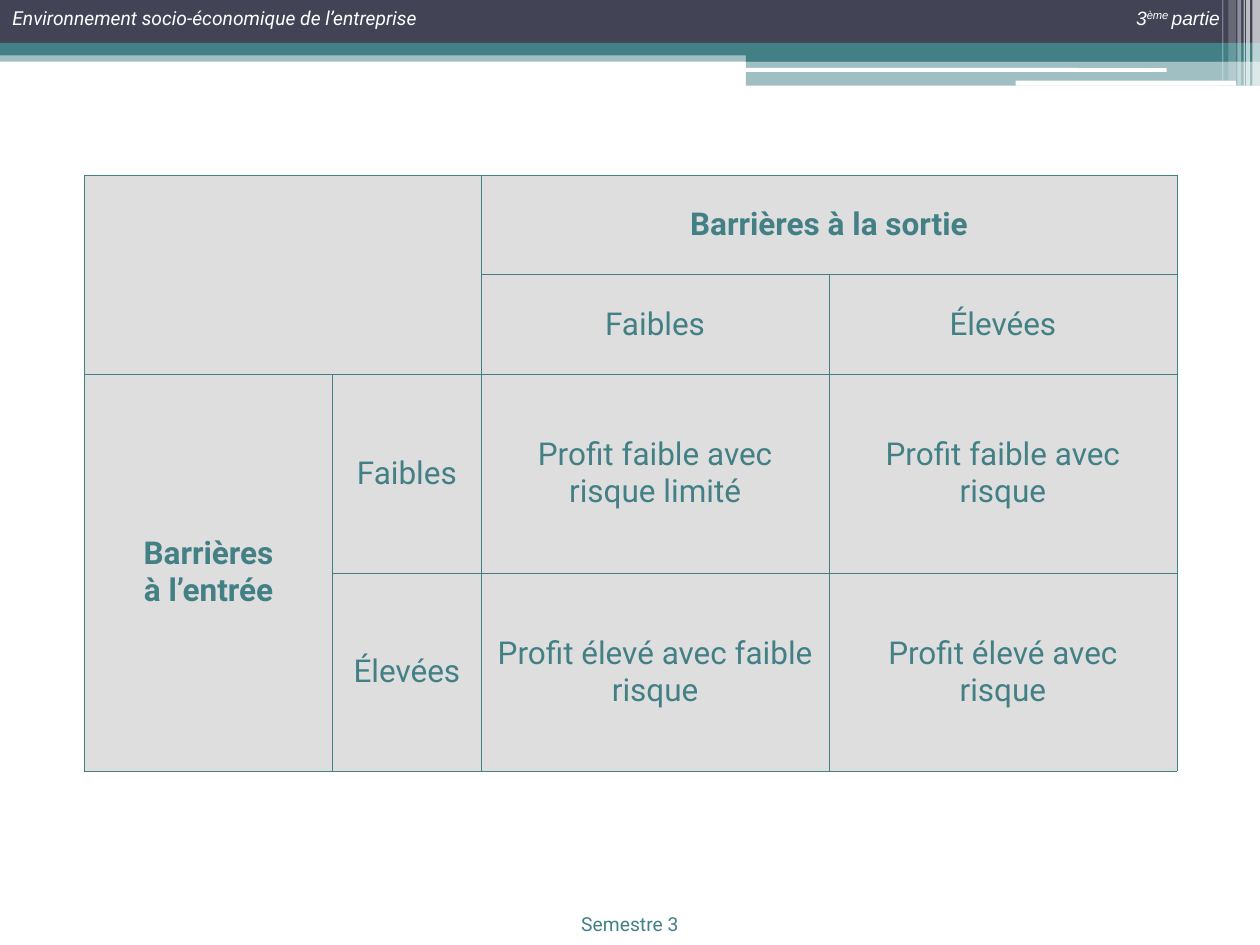
from lxml.etree import SubElement
from pptx import Presentation
from pptx.dml.color import RGBColor
from pptx.enum.shapes import MSO_SHAPE
from pptx.enum.text import MSO_ANCHOR, MSO_AUTO_SIZE, PP_ALIGN
from pptx.oxml.ns import qn
from pptx.util import Inches, Pt

COLORS = {"teal": "438086", "slate": "424456", "white": "FFFFFF", "grey": "DEDEDE"}


def add_bar(slide, kind, box, color, opacity=100):
    shape = slide.shapes.add_shape(kind, *[Inches(value) for value in box])
    shape.shadow.inherit = False
    shape.line.fill.background()
    shape.fill.solid()
    shape.fill.fore_color.rgb = RGBColor.from_string(COLORS[color])
    if opacity < 100:
        color_element = shape.fill._xPr.find(qn("a:solidFill"))[0]
        SubElement(color_element, qn("a:alpha")).set("val", str(opacity * 1000))


def add_run(paragraph, text, size, color, font="Roboto", bold=False, italic=False):
    run = paragraph.add_run()
    run.text = text
    run.font.name = font
    run.font.size = Pt(size)
    run.font.bold = bold
    run.font.italic = italic
    run.font.color.rgb = RGBColor.from_string(COLORS[color])
    return run


presentation = Presentation()
presentation.slide_width = Inches(10)
presentation.slide_height = Inches(7.5)
slide = presentation.slides.add_slide(presentation.slide_layouts[6])

header_bars = [
    (MSO_SHAPE.RECTANGLE, (0, 0.4, 10, 0.09), "teal", 50),
    (MSO_SHAPE.RECTANGLE, (0, 0, 10, 0.34), "slate", 100),
    (MSO_SHAPE.RECTANGLE, (0, 0.34, 10, 0.1), "teal", 100),
    (MSO_SHAPE.RECTANGLE, (5.92, 0.39, 4.08, 0.1), "teal", 100),
    (MSO_SHAPE.RECTANGLE, (5.92, 0.48, 4.08, 0.2), "teal", 50),
    (MSO_SHAPE.ROUNDED_RECTANGLE, (5.91, 0.54, 3.35, 0.03), "white", 100),
    (MSO_SHAPE.ROUNDED_RECTANGLE, (8.06, 0.64, 1.75, 0.04), "white", 100),
]
for kind, box, color, opacity in header_bars:
    add_bar(slide, kind, box, color, opacity)

stripes = [
    (9.94, 0.06, 0.68, 65),
    (9.89, 0.03, 0.68, 65),
    (9.87, 0.01, 0.68, 60),
    (9.82, 0.03, 0.68, 40),
    (9.75, 0.06, 0.64, 20),
    (9.7, 0.01, 0.64, 30),
]
for left, width, height, opacity in stripes:
    add_bar(slide, MSO_SHAPE.RECTANGLE, (left, 0, width, height), "white", opacity)

labels = [
    ((0, 0, 3.93, 0.29), PP_ALIGN.LEFT, "Roboto", "white", True,
     [("Environnement socio-économique de l’entreprise", 0)]),
    ((3.7, 7.19, 2.6, 0.29), PP_ALIGN.CENTER, "Roboto", "teal", False,
     [("Semestre 3", 0)]),
    ((5.85, 0, 3.93, 0.29), PP_ALIGN.RIGHT, "Arial", "white", True,
     [("3", 0), ("ème ", 30), ("partie", 0)]),
]
for box, alignment, font, color, italic, runs in labels:
    text_frame = slide.shapes.add_textbox(*[Inches(value) for value in box]).text_frame
    text_frame.word_wrap = True
    text_frame.auto_size = MSO_AUTO_SIZE.SHAPE_TO_FIT_TEXT
    paragraph = text_frame.paragraphs[0]
    paragraph.alignment = alignment
    for text, baseline in runs:
        run = add_run(paragraph, text, 11, color, font, italic=italic)
        if baseline:
            run._r.get_or_add_rPr().set("baseline", str(baseline * 1000))

column_widths = [1.97, 1.18, 2.76, 2.76]
row_heights = [0.79, 0.79, 1.58, 1.57]
table = slide.shapes.add_table(
    4, 4, Inches(0.67), Inches(1.39), Inches(8.66), Inches(4.73)
).table
table.first_row = False
table.horz_banding = False
for column, width in zip(table.columns, column_widths):
    column.width = Inches(width)
for row, height in zip(table.rows, row_heights):
    row.height = Inches(height)

for first, last in [((0, 0), (1, 1)), ((0, 2), (0, 3)), ((2, 0), (3, 0))]:
    table.cell(*first).merge(table.cell(*last))

for cell in table.iter_cells():
    properties = cell._tc.get_or_add_tcPr()
    for side in ("a:lnL", "a:lnR", "a:lnT", "a:lnB"):
        border = SubElement(properties, qn(side), w=str(Pt(0.25)))
        border_fill = SubElement(border, qn("a:solidFill"))
        SubElement(border_fill, qn("a:srgbClr"), val=COLORS["teal"])
    cell.fill.solid()
    cell.fill.fore_color.rgb = RGBColor.from_string(COLORS["grey"])
    cell.vertical_anchor = MSO_ANCHOR.MIDDLE

matrix = [
    ["", "", "Barrières à la sortie", ""],
    ["", "", "Faibles", "Élevées"],
    ["Barrières\nà l’entrée", "Faibles",
     "Profit faible avec risque limité", "Profit faible avec risque"],
    ["", "Élevées", "Profit élevé avec faible risque", "Profit élevé avec risque"],
]
for row_index, row_texts in enumerate(matrix):
    for column_index, text in enumerate(row_texts):
        if not text:
            continue
        paragraph = table.cell(row_index, column_index).text_frame.paragraphs[0]
        paragraph.alignment = PP_ALIGN.CENTER
        paragraph.space_before = Pt(3.6)
        for line_index, line in enumerate(text.split("\n")):
            if line_index:
                paragraph.add_line_break()
            add_run(paragraph, line, 18, "teal", bold=text.startswith("Barrières"))

presentation.save("out.pptx")
